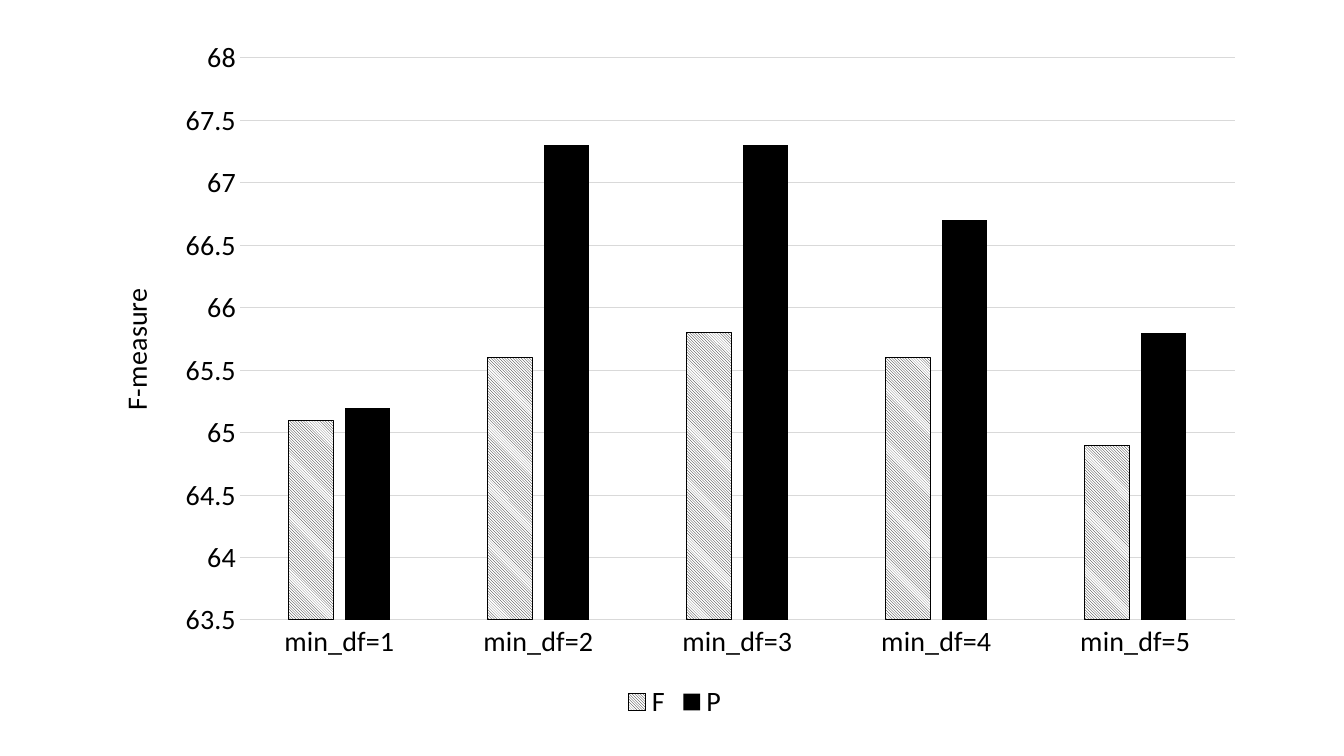
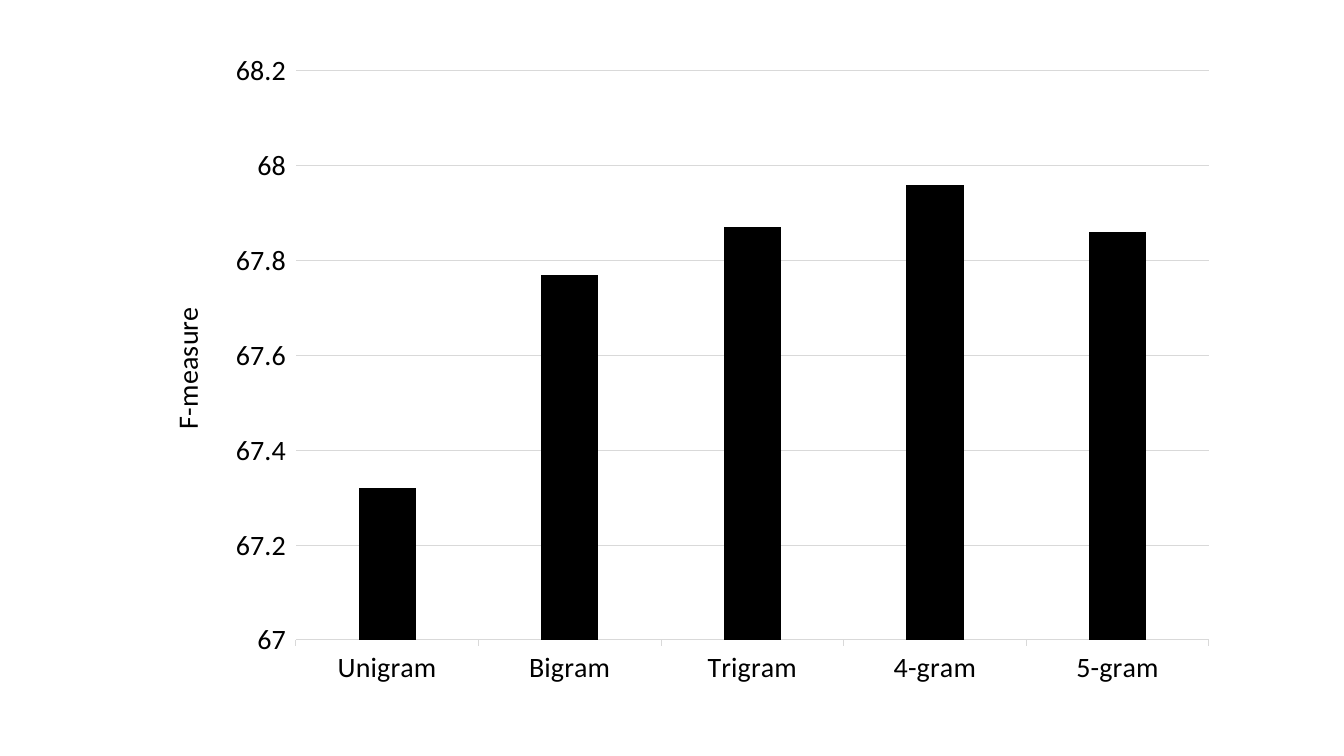
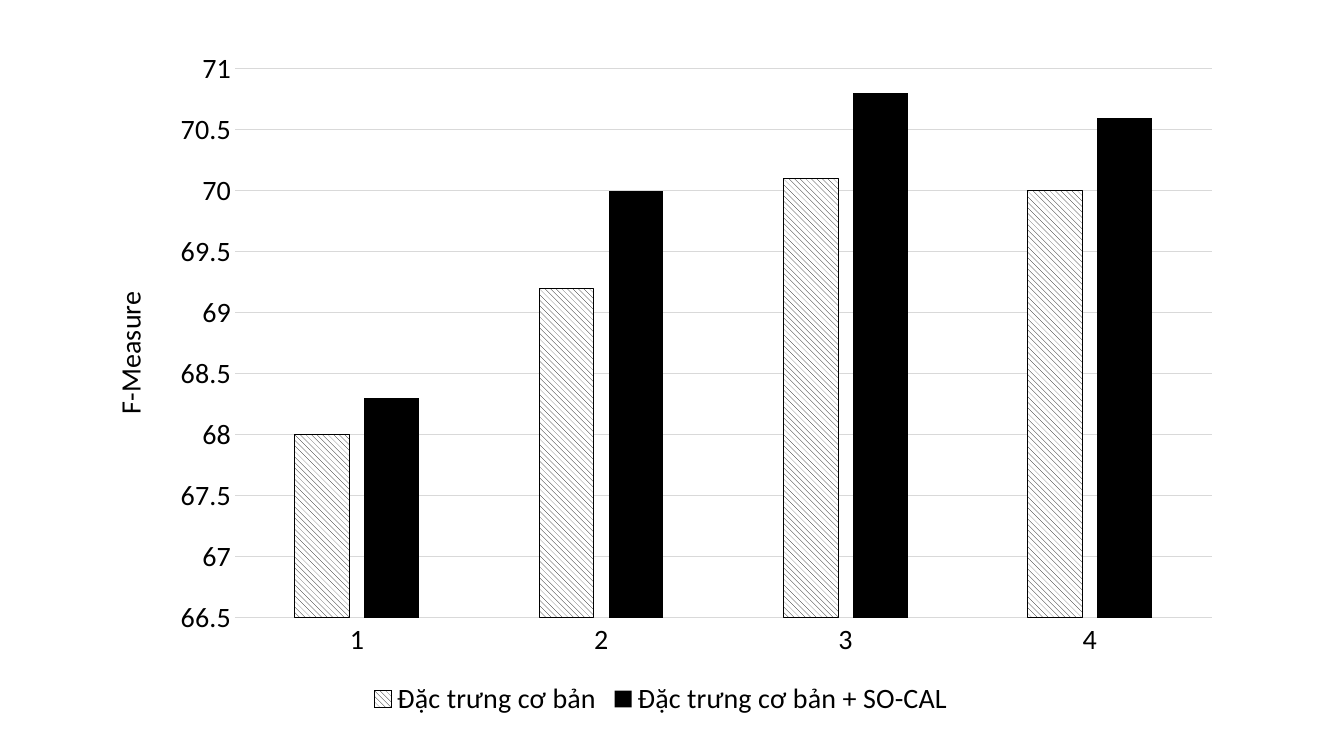
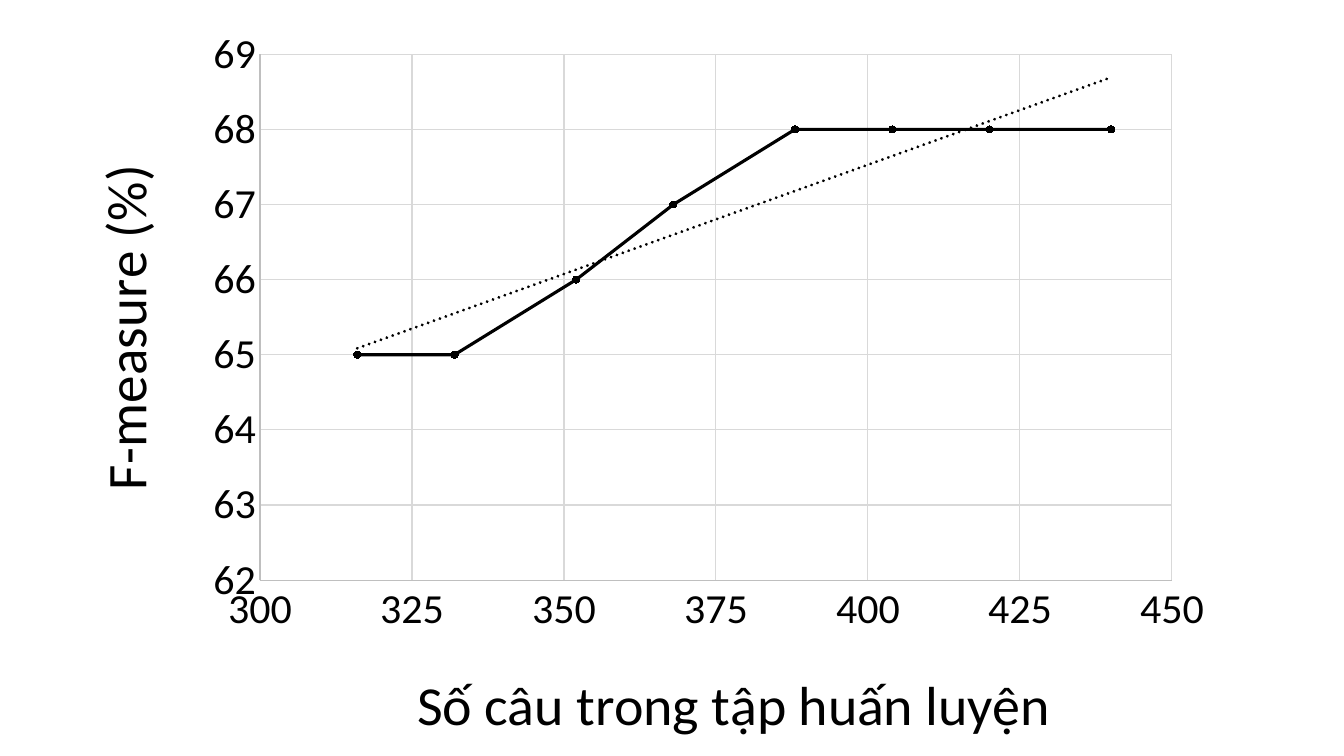
from dataclasses import dataclass

from lxml import etree
from pptx import Presentation
from pptx.chart.data import CategoryChartData, XyChartData
from pptx.dml.color import RGBColor
from pptx.enum.chart import XL_CHART_TYPE, XL_LEGEND_POSITION, XL_MARKER_STYLE, XL_TICK_MARK
from pptx.enum.dml import MSO_PATTERN
from pptx.oxml import parse_xml
from pptx.oxml.ns import nsdecls, qn
from pptx.util import Emu, Pt

COLUMNS = XL_CHART_TYPE.COLUMN_CLUSTERED
SCATTER = XL_CHART_TYPE.XY_SCATTER_LINES
BOTTOM = XL_LEGEND_POSITION.BOTTOM
CIRCLE = XL_MARKER_STYLE.CIRCLE
NO_TICK, TICK_OUT = XL_TICK_MARK.NONE, XL_TICK_MARK.OUTSIDE
LIGHT_HATCH = MSO_PATTERN.LIGHT_DOWNWARD_DIAGONAL
WIDE_HATCH = MSO_PATTERN.WIDE_DOWNWARD_DIAGONAL
SLIDE_W, SLIDE_H = 1344, 756
PX = 12192000 / SLIDE_W


@dataclass(frozen=True)
class Theme:
    """Colours, font and sizes shared by every chart."""
    font: str = "Calibri"
    ink: RGBColor = RGBColor(0, 0, 0)
    soft_ink: RGBColor = RGBColor(0x0D, 0x0D, 0x0D)
    paper: RGBColor = RGBColor(0xFF, 0xFF, 0xFF)
    grid: RGBColor = RGBColor(0xD9, 0xD9, 0xD9)
    axis: RGBColor = RGBColor(0xBF, 0xBF, 0xBF)
    base: int = 10
    text: int = 20
    labels: int = 30
    heading: int = 40
    hairline: float = 0.75
    stroke: float = 2.25
    marker: int = 5


def emu(px):
    """Turn px into EMU."""
    return Emu(round(px * PX))


def assign(obj, values):
    """Set each attribute named in values."""
    for name, value in values.items():
        setattr(obj, name, value)


class Deck:
    """Holds the theme, the presentation and the current slide."""

    def __init__(self, theme):
        """Start an empty widescreen presentation."""
        self.theme = theme
        self.prs = Presentation()
        assign(self.prs, {"slide_width": emu(SLIDE_W), "slide_height": emu(SLIDE_H)})

    def add_slide(self):
        """Add a blank slide and make it current."""
        self.s = self.prs.slides.add_slide(self.prs.slide_layouts[6])

    def font(self, font, size):
        """Format a font in the theme style."""
        assign(font, {"name": self.theme.font, "size": Pt(size), "bold": False})
        font.color.rgb = self.theme.ink

    def line(self, line, color, width):
        """Draw a line, or hide it when there is no colour."""
        if color is None:
            line.fill.background()
            return
        line.color.rgb = color
        line.width = Pt(width)

    def place(self, parent, box, frame, inner=False):
        """Fix a chart part at a px box inside the chart frame."""
        for old in parent.findall(qn("c:layout")):
            parent.remove(old)
        x, y, w, h = frame
        shares = [(box[0] - x) / w, (box[1] - y) / h]
        shares += [length / whole for length, whole in zip(box[2:], (w, h))]
        layout = parse_xml(f'<c:layout {nsdecls("c")}><c:manualLayout/></c:layout>')
        manual = layout[0]
        if inner:
            etree.SubElement(manual, qn("c:layoutTarget"), val="inner")
        for key in ("xMode", "yMode"):
            etree.SubElement(manual, qn(f"c:{key}"), val="edge")
        for key, share in zip("xywh", shares):
            etree.SubElement(manual, qn(f"c:{key}"), val=f"{share:.4f}")
        parent.insert(0 if parent.find(qn("c:tx")) is None else 1, layout)

    def chart(self, kind, data, frame, plot_box):
        """Add a chart with a fixed plot area."""
        shape = self.s.shapes.add_chart(kind, *map(emu, frame), data)
        chart = shape.chart
        self.font(chart.font, self.theme.base)
        assign(chart, {"has_title": False, "has_legend": False})
        chart.plots[0].vary_by_categories = False
        self.place(chart.element.find(".//" + qn("c:plotArea")), plot_box, frame, True)
        return chart

    def axis(self, axis, size, color, tick=NO_TICK, grid=True, scale=None):
        """Format one axis; scale is minimum, maximum and step."""
        t = self.theme
        assign(axis, {"major_tick_mark": tick, "minor_tick_mark": NO_TICK,
                      "has_major_gridlines": grid})
        self.font(axis.tick_labels.font, size)
        self.line(axis.format.line, color, t.hairline)
        if grid:
            self.line(axis.major_gridlines.format.line, t.grid, t.hairline)
        if scale:
            assign(axis, dict(zip(("minimum_scale", "maximum_scale", "major_unit"), scale)))

    def axis_title(self, axis, text, size, spot, frame, turned=True):
        """Write an axis title at a px spot."""
        title = axis.axis_title
        p = title.text_frame.paragraphs[0]
        r = p.add_run()
        r.text = text
        self.font(r.font, size)
        body = title.element.find(".//" + qn("a:bodyPr"))
        body.set("rot", "-5400000" if turned else "0")
        body.set("vert", "horz")
        self.place(title.element, spot, frame)

    def columns(self, frame, plot_box, cats, series, title, spot, scale,
                tick=NO_TICK, hatch=None, hatch_ink=None):
        """Add a column chart, its first series hatched if a hatch is given."""
        t = self.theme
        data = CategoryChartData()
        data.categories = cats
        for name, values in series.items():
            data.add_series(name, values)
        chart = self.chart(COLUMNS, data, frame, plot_box)
        assign(chart.plots[0], {"gap_width": 219, "overlap": -27})
        for i, ser in enumerate(chart.plots[0].series):
            ser.invert_if_negative = False
            fill = ser.format.fill
            if hatch and i == 0:
                fill.patterned()
                fill.pattern = hatch
                fill.fore_color.rgb, fill.back_color.rgb = hatch_ink, t.paper
                self.line(ser.format.line, t.ink, t.hairline)
            else:
                fill.solid()
                fill.fore_color.rgb = t.ink
        self.axis(chart.category_axis, t.text, t.grid, tick, grid=False)
        self.axis(chart.value_axis, t.text, None, tick, scale=scale)
        self.axis_title(chart.value_axis, title, t.text, spot, frame)
        if len(series) > 1:
            chart.has_legend = True
            assign(chart.legend, {"position": BOTTOM, "include_in_layout": False})
            self.font(chart.legend.font, t.text)

    def scatter(self, frame, plot_box, points, x_title, y_title, x_scale, y_scale):
        """Add a scatter line with a dotted linear trend."""
        t = self.theme
        data = XyChartData()
        ser = data.add_series("Series 1")
        for x, y in points:
            ser.add_data_point(x, y)
        chart = self.chart(SCATTER, data, frame, plot_box)
        ser = chart.plots[0].series[0]
        ser.smooth = False
        self.line(ser.format.line, t.ink, t.stroke)
        assign(ser.marker, {"style": CIRCLE, "size": t.marker})
        ser.marker.format.fill.solid()
        ser.marker.format.fill.fore_color.rgb = t.ink
        self.line(ser.marker.format.line, None, t.hairline)
        self.trend(chart)
        for axis, (text, spot), scale, turned in (
                (chart.category_axis, x_title, x_scale, False),
                (chart.value_axis, y_title, y_scale, True)):
            self.axis(axis, t.labels, t.axis, scale=scale)
            self.axis_title(axis, text, t.heading, spot, frame, turned)

    def trend(self, chart):
        """Put a linear trend line on the first series."""
        t = self.theme
        chart.element.find(".//" + qn("c:xVal")).addprevious(parse_xml(
            f'<c:trendline {nsdecls("c", "a")}><c:spPr>'
            f'<a:ln w="{Pt(t.stroke)}" cap="rnd"><a:solidFill><a:srgbClr val="{t.ink}"/>'
            '</a:solidFill><a:prstDash val="sysDot"/></a:ln></c:spPr>'
            '<c:trendlineType val="linear"/><c:dispRSqr val="0"/><c:dispEq val="0"/>'
            '</c:trendline>'))


def main():
    """Build the four chart slides."""
    theme = Theme()
    deck = Deck(theme)

    deck.add_slide()
    deck.columns(
        (93, 26, 1164, 699), (240, 58, 995, 562),
        [f"min_df={n}" for n in range(1, 6)],
        {"F": (65.1, 65.6, 65.8, 65.6, 64.9),
         "P": (65.2, 67.3, 67.3, 66.7, 65.8)},
        "F-measure", (111, 283), (63.5, 68, 0.5),
        hatch=LIGHT_HATCH, hatch_ink=theme.soft_ink)

    deck.add_slide()
    deck.columns(
        (144, 40, 1087, 657), (296, 71, 913, 569),
        ["Unigram", "Bigram", "Trigram", "4-gram", "5-gram"],
        {"Series 1": (67.32, 67.77, 67.87, 67.96, 67.86)},
        "F-measure", (162, 302), (67, 68.2, 0.2), tick=TICK_OUT)

    deck.add_slide()
    deck.columns(
        (88, 37, 1146, 685), (235, 69, 977, 549),
        ["1", "2", "3", "4"],
        {"Đặc trưng cơ bản": (68, 69.2, 70.1, 70),
         "Đặc trưng cơ bản + SO-CAL": (68.3, 70, 70.8, 70.6)},
        "F-Measure", (105, 286), (66.5, 71, 0.5),
        hatch=WIDE_HATCH, hatch_ink=theme.ink)

    deck.add_slide()
    deck.scatter(
        (72, 15, 1155, 741), (260, 55, 912, 535),
        [(316, 65), (332, 65), (352, 66), (368, 67),
         (388, 68), (404, 68), (420, 68), (440, 68)],
        ("Số câu trong tập huấn luyện", (407, 668)), ("F-measure (%)", (77, 163)),
        (300, 450, 25), (62, 69, 1))

    deck.prs.save("out.pptx")


if __name__ == "__main__":
    main()
